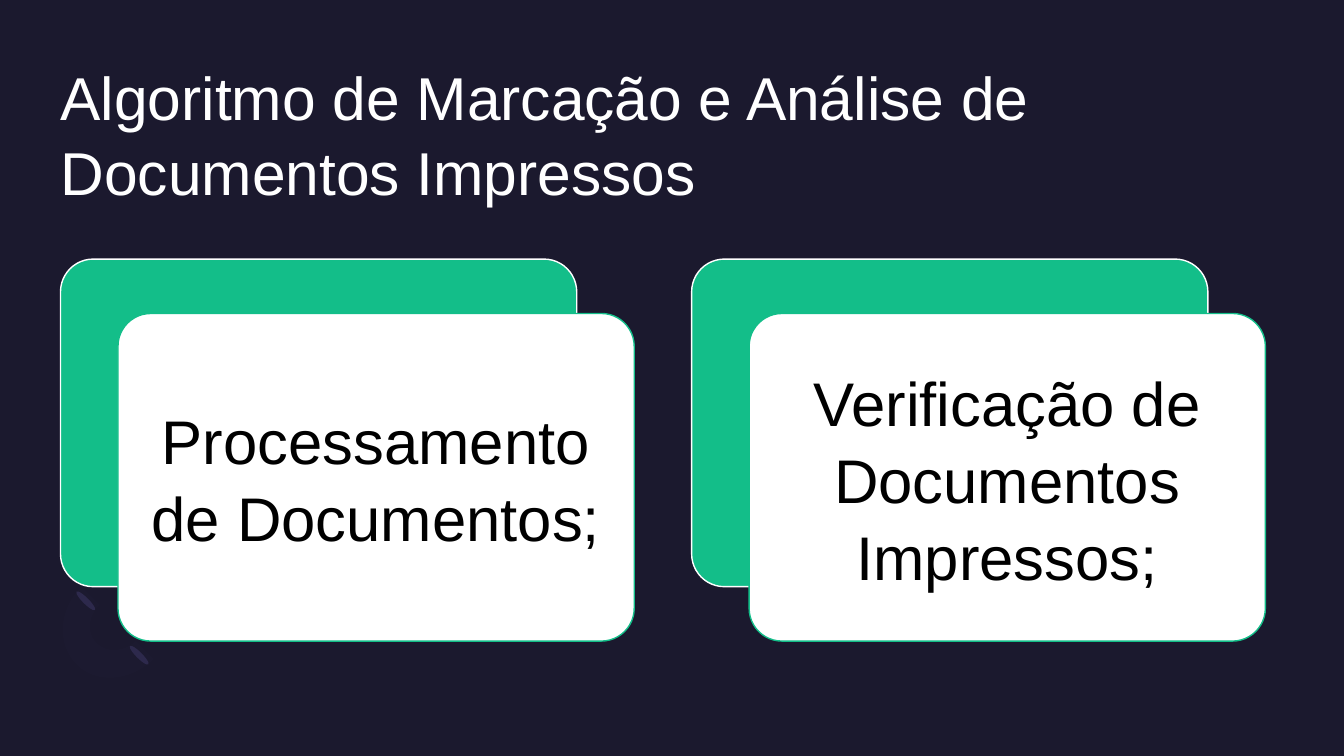
from dataclasses import dataclass

from lxml import etree
from pptx import Presentation
from pptx.dml.color import RGBColor
from pptx.enum.shapes import MSO_SHAPE
from pptx.enum.text import MSO_ANCHOR, MSO_AUTO_SIZE, PP_ALIGN
from pptx.oxml.ns import qn
from pptx.util import Inches, Pt

ROUND, OVAL = MSO_SHAPE.ROUNDED_RECTANGLE, MSO_SHAPE.OVAL
MIDDLE, BOTTOM = MSO_ANCHOR.MIDDLE, MSO_ANCHOR.BOTTOM
LEFT, CENTER = PP_ALIGN.LEFT, PP_ALIGN.CENTER
FIXED = MSO_AUTO_SIZE.NONE


@dataclass(frozen=True)
class Theme:
    font: str = "Arial"
    title: float = 43.2
    body: float = 44
    leading: float = 1.04
    back: str = "1B192E"
    green: str = "13BE89"
    white: str = "FFFFFF"
    black: str = "000000"
    petal: str = "2C284A"
    ring: str = "7771B2"


def curve(start, first, second, end, steps=12):
    """Return points along a cubic Bezier curve."""
    points = []
    for step in range(steps + 1):
        t = step / steps
        u = 1 - t
        weights = (u ** 3, 3 * u * u * t, 3 * u * t * t, t ** 3)
        corners = (start, first, second, end)
        points.append(tuple(sum(w * c[axis] for w, c in zip(weights, corners))
                            for axis in (0, 1)))
    return points


class Deck:
    def __init__(self, theme):
        self.theme = theme
        self.prs = Presentation()
        self.prs.slide_width = Inches(13.33)
        self.prs.slide_height = Inches(7.5)
        self.slide = self.prs.slides.add_slide(self.prs.slide_layouts[5])
        fill = self.slide.background.fill
        fill.solid()
        fill.fore_color.rgb = RGBColor.from_string(theme.back)

    def paint(self, shape, fill, line=None):
        shape.shadow.inherit = False
        shape.fill.solid()
        shape.fill.fore_color.rgb = RGBColor.from_string(fill)
        if line:
            shape.line.color.rgb = RGBColor.from_string(line)
            shape.line.width = Pt(1)
        else:
            shape.line.fill.background()

    def label(self, shape, text, size, color, align, anchor, inset):
        frame = shape.text_frame
        frame.text = text
        frame.word_wrap = True
        frame.auto_size = FIXED
        frame.vertical_anchor = anchor
        frame.margin_left = frame.margin_right = Inches(inset)
        frame.margin_top = frame.margin_bottom = Inches(inset)
        para = frame.paragraphs[0]
        para.alignment = align
        para.line_spacing = self.theme.leading
        font = para.runs[0].font
        font.name = self.theme.font
        font.size = Pt(size)
        font.color.rgb = RGBColor.from_string(color)

    def title(self, text, left, top, width, height):
        shape = self.slide.shapes.title
        shape.left, shape.top = Inches(left), Inches(top)
        shape.width, shape.height = Inches(width), Inches(height)
        self.label(shape, text, self.theme.title, self.theme.white,
                   LEFT, BOTTOM, 0)

    def panel(self, left, top, fill, line):
        shape = self.slide.shapes.add_shape(
            ROUND, Inches(left), Inches(top), Inches(5.12), Inches(3.25))
        shape.adjustments[0] = 0.1
        self.paint(shape, fill, line)
        return shape

    def card(self, text, left, top):
        """Draw a green panel with a white text panel shifted over it."""
        look = self.theme
        self.panel(left, top, look.green, look.white)
        front = self.panel(left + 0.57, top + 0.54, look.white, look.green)
        self.label(front, text, look.body, look.black, CENTER, MIDDLE, 0.17)

    def petal(self, left, top):
        shape = self.slide.shapes.add_shape(
            OVAL, Inches(left), Inches(top), Inches(0.06), Inches(0.26))
        shape.rotation = 135
        self.paint(shape, self.theme.petal)

    def ring(self, points, alpha):
        """Draw a closed, nearly clear outline; alpha is in percent."""
        spots = [(Inches(x), Inches(y)) for x, y in points]
        pen = self.slide.shapes.build_freeform(*spots[0])
        pen.add_line_segments(spots[1:], close=True)
        shape = pen.convert_to_shape()
        self.paint(shape, self.theme.ring)
        color = shape.element.spPr.find(qn("a:solidFill"))[0]
        etree.SubElement(color, qn("a:alpha"), val=str(alpha * 1000))


def main():
    deck = Deck(Theme())
    for left, top in ((1.35, 6.37), (0.82, 5.83)):
        deck.petal(left, top)
    outer = curve((0.76, 6.59), (0.56, 6.39), (0.58, 6.05), (0.81, 5.82))
    inner = (curve((0.99, 6), (0.87, 6.11), (0.86, 6.29), (0.96, 6.38))
             + curve((0.96, 6.38), (1.06, 6.48), (1.23, 6.47), (1.35, 6.36)))
    tail = curve((1.52, 6.54), (1.3, 6.76), (0.95, 6.79), (0.76, 6.59))
    deck.ring(outer + inner + tail, 2)
    deck.title("Algoritmo de Marcação e Análise de Documentos Impressos",
               0.6, 0.6, 12.13, 1.46)
    cards = ("Processamento de Documentos;",
             "Verificação de Documentos Impressos;")
    for index, text in enumerate(cards):
        deck.card(text, 0.6 + 6.26 * index, 2.57)
    deck.prs.save("out.pptx")


if __name__ == "__main__":
    main()
